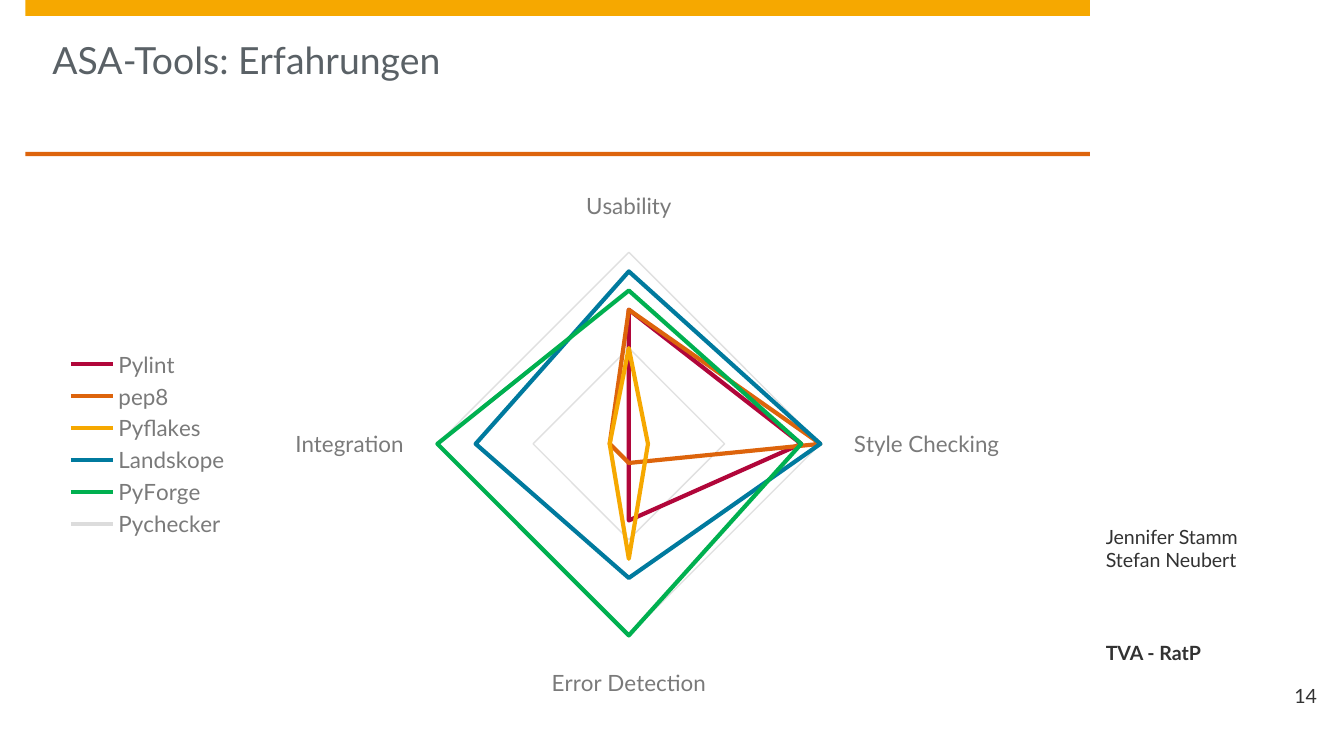
from pptx import Presentation
from pptx import util as u
from pptx.chart import data
from pptx.dml.color import RGBColor
from pptx.enum import chart as charts, shapes, text

FONT = "Lato"
YELLOW = RGBColor(0xF6, 0xA8, 0x00)
ORANGE = RGBColor(0xDD, 0x64, 0x0C)
RED = RGBColor(0xB1, 0x06, 0x3A)
BLUE = RGBColor(0x00, 0x7A, 0x9E)
GREEN = RGBColor(0x00, 0xB0, 0x50)
PALE_GRAY = RGBColor(0xDC, 0xDC, 0xDC)
GRID_GRAY = RGBColor(0xE0, 0xE0, 0xE0)
LABEL_GRAY = RGBColor(0x7A, 0x7A, 0x7A)
TITLE_GRAY = RGBColor(0x5A, 0x61, 0x66)
DARK = RGBColor(0x32, 0x32, 0x32)

CRITERIA = ["Usability", "Style Checking", "Error Detection", "Integration"]
TOOLS = [
    ("Pylint", RED, (70, 90, 40, 0)),
    ("pep8", ORANGE, (70, 100, 10, 10)),
    ("Pyflakes", YELLOW, (50, 10, 60, 10)),
    ("Landskope", BLUE, (90, 100, 70, 80)),
    ("PyForge", GREEN, (80, 90, 100, 100)),
    ("Pychecker", PALE_GRAY, (0, 0, 0, 0)),
]


def format_font(font, size, color, bold=False):
    """Apply the deck's typeface with a size, colour and weight."""
    font.name = FONT
    font.size = u.Pt(size)
    font.bold = bold
    font.color.rgb = color


def write_text(shape, lines, size=10.5, color=DARK, bold=False,
               align=text.PP_ALIGN.LEFT, anchor=text.MSO_ANCHOR.BOTTOM,
               left=0.3, top=0):
    """Fill a shape with one paragraph for each line."""
    frame = shape.text_frame
    frame.word_wrap = True
    frame.auto_size = text.MSO_AUTO_SIZE.NONE
    frame.vertical_anchor = anchor
    frame.margin_left, frame.margin_top = u.Cm(left), u.Cm(top)
    frame.margin_right = frame.margin_bottom = 0
    for index, line in enumerate(lines):
        paragraph = frame.add_paragraph() if index else frame.paragraphs[0]
        paragraph.alignment = align
        run = paragraph.add_run()
        run.text = line
        format_font(run.font, size, color, bold)


def add_bar(slide, color, left, top, width, height):
    """Draw a plain filled bar."""
    bar = slide.shapes.add_shape(shapes.MSO_SHAPE.RECTANGLE, u.Cm(left),
                                 u.Cm(top), u.Cm(width), u.Cm(height))
    bar.shadow.inherit = False
    bar.fill.solid()
    bar.fill.fore_color.rgb = color
    bar.line.fill.background()


def add_header(slide, left, top, width, height):
    """Place the title between the yellow bar and the orange rule."""
    inset = 0.51
    add_bar(slide, YELLOW, left, top, width, 0.3)
    add_bar(slide, ORANGE, left, top + height - 0.08, width, 0.08)
    title = slide.shapes.title
    title.left, title.top = u.Cm(left + inset), u.Cm(top + 0.3)
    title.width, title.height = u.Cm(width - 2 * inset), u.Cm(height - 0.38)
    write_text(title, ["ASA-Tools: Erfahrungen"], size=20, color=TITLE_GRAY,
               anchor=text.MSO_ANCHOR.TOP, left=0, top=0.41)


def add_sidebar(slide, left, top, width, height):
    """Stack authors, project and page number down to the box's bottom."""
    blocks = [
        (0, 1.3, ["Jennifer Stamm", "Stefan Neubert"], {}),
        (1.6, 1.45, ["TVA - RatP"], {"bold": True}),
        (height - 0.51, 0.51, ["14"], {"align": text.PP_ALIGN.RIGHT}),
    ]
    for offset, block_height, lines, style in blocks:
        box = slide.shapes.add_textbox(u.Cm(left), u.Cm(top + offset),
                                       u.Cm(width), u.Cm(block_height))
        write_text(box, lines, **style)


def add_radar(slide, left, top, width, height):
    """Compare the tools by criterion in a radar chart."""
    chart_data = data.CategoryChartData()
    chart_data.categories = CRITERIA
    for name, _, values in TOOLS:
        chart_data.add_series(name, values)
    chart = slide.shapes.add_chart(
        charts.XL_CHART_TYPE.RADAR, u.Cm(left), u.Cm(top), u.Cm(width),
        u.Cm(height), chart_data).chart
    format_font(chart.font, 10, DARK)
    chart.has_title = False
    chart.has_legend = True
    chart.legend.position = charts.XL_LEGEND_POSITION.LEFT
    chart.legend.include_in_layout = False
    format_font(chart.legend.font, 12, LABEL_GRAY)

    category_axis, value_axis = chart.category_axis, chart.value_axis
    category_axis.has_major_gridlines = False
    category_axis.major_tick_mark = charts.XL_TICK_MARK.NONE
    format_font(category_axis.tick_labels.font, 12, LABEL_GRAY)
    value_axis.visible = False
    value_axis.minimum_scale, value_axis.maximum_scale = 0, 100
    value_axis.major_unit = 50
    value_axis.has_major_gridlines = True
    for line in (category_axis.format.line, value_axis.major_gridlines.format.line):
        line.color.rgb = GRID_GRAY
        line.width = u.Pt(0.75)

    plot = chart.plots[0]
    plot.vary_by_categories = False
    for series, (_, color, _) in zip(plot.series, TOOLS):
        series.format.line.color.rgb = color
        series.format.line.width = u.Pt(2.25)
        series.marker.style = charts.XL_MARKER_STYLE.NONE


def main():
    """Build the slide and save it."""
    presentation = Presentation()
    presentation.slide_width, presentation.slide_height = u.Cm(25.4), u.Cm(14.28)
    slide = presentation.slides.add_slide(presentation.slide_layouts[5])
    add_header(slide, left=0.48, top=0, width=20.12, height=2.95)
    add_sidebar(slide, left=20.6, top=9.5, width=4.29, height=3.86)
    add_radar(slide, left=0.99, top=3.43, width=19.1, height=9.91)
    presentation.save("out.pptx")


if __name__ == "__main__":
    main()
